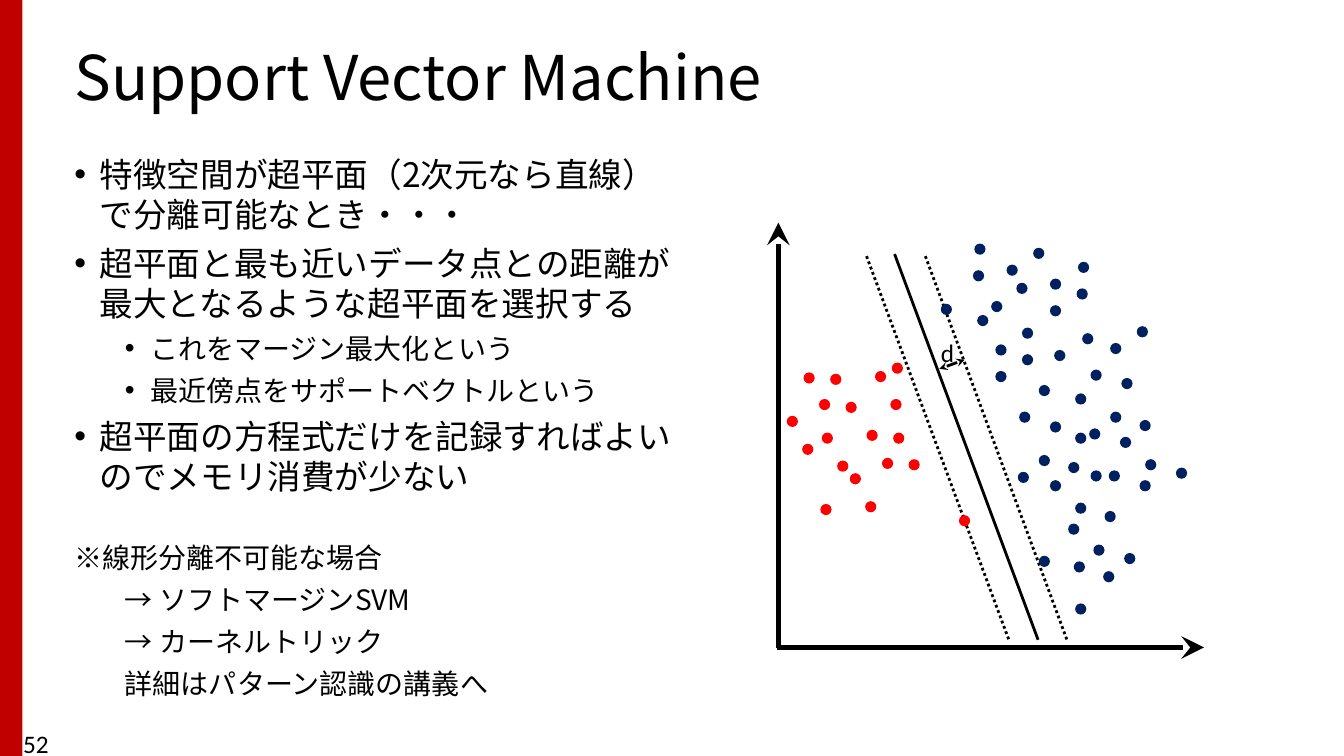
"""Build the Support Vector Machine slide."""
from dataclasses import dataclass

from lxml import etree
from pptx import Presentation
from pptx import util as u
from pptx.dml.color import RGBColor
from pptx.enum import dml, shapes, text
from pptx.oxml.ns import qn

BLACK = RGBColor(0x00, 0x00, 0x00)
BAR_RED = RGBColor(0xC0, 0x00, 0x00)
DOT_RED = RGBColor(0xFF, 0x00, 0x00)
DOT_NAVY = RGBColor(0x00, 0x20, 0x60)
JP_FONT = "Noto Sans CJK JP"
LABEL_FONT = "Calibri"
DOT_SIZE = 8


@dataclass(frozen=True)
class Item:
    words: str
    size: int = 24
    level: int = 0
    left: int = 18
    bullet: bool = True
    before: float = 6


@dataclass(frozen=True)
class Line:
    x1: float
    y1: float
    x2: float
    y2: float
    width: float = 2
    dotted: bool = False
    head: bool = False
    tail: bool = False
    arrow: str = "med"


@dataclass(frozen=True)
class Label:
    words: str
    left: float
    top: float
    width: float
    height: float
    wrap: bool


@dataclass(frozen=True)
class Cluster:
    color: RGBColor
    dots: tuple[tuple[int, int], ...]


ITEMS = (
    Item("特徴空間が超平面（2次元なら直線）で分離可能なとき・・・", before=0),
    Item("超平面と最も近いデータ点との距離が最大となるような超平面を選択する"),
    Item("これをマージン最大化という", 20, 1, 54),
    Item("最近傍点をサポートベクトルという", 20, 1, 54),
    Item("超平面の方程式だけを記録すればよいのでメモリ消費が少ない"),
    Item("※線形分離不可能な場合", 20, 0, 0, False, 31.5),
    Item("→ ソフトマージンSVM", 20, 1, 36, False),
    Item("→ カーネルトリック", 20, 1, 36, False),
    Item("詳細はパターン認識の講義へ", 20, 1, 36, False),
)

LINES = (
    Line(619, 183, 721, 458, dotted=True),
    Line(661, 183, 762.5, 458, dotted=True),
    Line(639, 181.5, 741.5, 457),
    Line(555, 462.5, 860, 462.5, 3.25, tail=True, arrow="lg"),
    Line(556, 463, 556, 159, 3.25, tail=True, arrow="lg"),
    Line(671, 263.5, 689, 257, head=True, tail=True),
)

LABELS = (
    Label("d", 665, 237.5, 24.5, 29, False),
    Label("52", 9.5, 517, 216, 29, True),
)

CLUSTERS = (
    Cluster(DOT_RED, (
        (587, 309), (598, 329), (586, 360), (574, 266), (585, 285),
        (562, 297), (573, 317), (593, 267), (604, 287), (619, 307),
        (630, 327), (637, 259), (685, 368), (607, 338), (618, 358),
        (638, 309), (649, 328), (625, 265), (636, 285),
    )),
    Cluster(DOT_NAVY, (
        (763, 330), (742, 325), (763, 374), (750, 301), (728, 294),
        (750, 343), (727, 337), (803, 395), (781, 389), (789, 365),
        (768, 359), (788, 408), (767, 401), (742, 397), (768, 431),
        (672, 217), (696, 174), (726, 202), (708, 215), (695, 193),
        (770, 187), (750, 199), (738, 177), (719, 189), (769, 206),
        (750, 218), (730, 234), (711, 246), (768, 309), (742, 275),
        (698, 225), (730, 253), (711, 265), (773, 238), (753, 250),
        (814, 300), (793, 294), (814, 343), (792, 336), (801, 270),
        (779, 264), (800, 312), (778, 306), (840, 334), (818, 328),
        (779, 336), (812, 233), (793, 245), (768, 281),
    )),
)


def place(sp, left: float, top: float, width: float, height: float) -> None:
    sp.left, sp.top = u.Pt(left), u.Pt(top)
    sp.width, sp.height = u.Pt(width), u.Pt(height)


def add_run(p, words: str, size: int, font: str) -> None:
    r = p.add_run()
    r.text = words
    r.font.size, r.font.name = u.Pt(size), font
    r.font.color.rgb = BLACK
    etree.SubElement(r.font._element, qn("a:ea"), typeface=font)


def add_item(p, item: Item) -> None:
    p.level = item.level
    pPr = p._p.get_or_add_pPr()
    pPr.set("marL", str(u.Pt(item.left)))
    pPr.set("indent", str(u.Pt(-18 if item.bullet else 0)))
    if item.bullet:
        etree.SubElement(pPr, qn("a:buFont"), typeface="Arial")
        etree.SubElement(pPr, qn("a:buChar"), char="•")
    else:
        etree.SubElement(pPr, qn("a:buNone"))
    p.alignment = text.PP_ALIGN.LEFT
    p.line_spacing = 1.0
    p.space_before = u.Pt(item.before)
    add_run(p, item.words, item.size, JP_FONT)


def add_shape(s, kind, color: RGBColor, left: float, top: float,
              width: float, height: float) -> None:
    sp = s.shapes.add_shape(kind, u.Pt(left), u.Pt(top), u.Pt(width), u.Pt(height))
    sp.shadow.inherit = False
    sp.fill.solid()
    sp.fill.fore_color.rgb = color
    sp.line.fill.background()


def add_line(s, line: Line) -> None:
    cxn = s.shapes.add_connector(shapes.MSO_CONNECTOR.STRAIGHT, u.Pt(line.x1),
                                 u.Pt(line.y1), u.Pt(line.x2), u.Pt(line.y2))
    cxn.line.color.rgb = BLACK
    cxn.line.width = u.Pt(line.width)
    if line.dotted:
        cxn.line.dash_style = dml.MSO_LINE.ROUND_DOT
    ln = cxn.line._get_or_add_ln()
    for shown, tag in ((line.head, "a:headEnd"), (line.tail, "a:tailEnd")):
        if shown:
            etree.SubElement(ln, qn(tag), type="stealth", w=line.arrow, len=line.arrow)
    etree.SubElement(cxn._element.spPr, qn("a:effectLst"))


def add_label(s, label: Label) -> None:
    sp = s.shapes.add_textbox(0, 0, 0, 0)
    place(sp, label.left, label.top, label.width, label.height)
    sp.text_frame.word_wrap = label.wrap
    add_run(sp.text_frame.paragraphs[0], label.words, 18, LABEL_FONT)


def main() -> None:
    prs = Presentation()
    prs.slide_width, prs.slide_height = u.Pt(960), u.Pt(540)
    s = prs.slides.add_slide(prs.slide_layouts[1])
    title, body = s.shapes.title, s.placeholders[1]

    place(title, 46, 29, 847, 57.5)
    title.text_frame.vertical_anchor = text.MSO_ANCHOR.MIDDLE
    title.text_frame.auto_size = text.MSO_AUTO_SIZE.NONE
    p = title.text_frame.paragraphs[0]
    p.alignment, p.line_spacing = text.PP_ALIGN.LEFT, 0.9
    add_run(p, "Support Vector Machine", 44, JP_FONT)

    place(body, 46, 106, 453, 434)
    tf = body.text_frame
    tf.auto_size = text.MSO_AUTO_SIZE.NONE
    for i, item in enumerate(ITEMS):
        add_item(tf.add_paragraph() if i else tf.paragraphs[0], item)

    add_shape(s, shapes.MSO_SHAPE.RECTANGLE, BAR_RED, 0, 0, 16, 540)
    for line in LINES:
        add_line(s, line)
    for cluster in CLUSTERS:
        for x, y in cluster.dots:
            add_shape(s, shapes.MSO_SHAPE.OVAL, cluster.color, x, y, DOT_SIZE, DOT_SIZE)
    for label in LABELS:
        add_label(s, label)
    prs.save("out.pptx")


if __name__ == "__main__":
    main()
